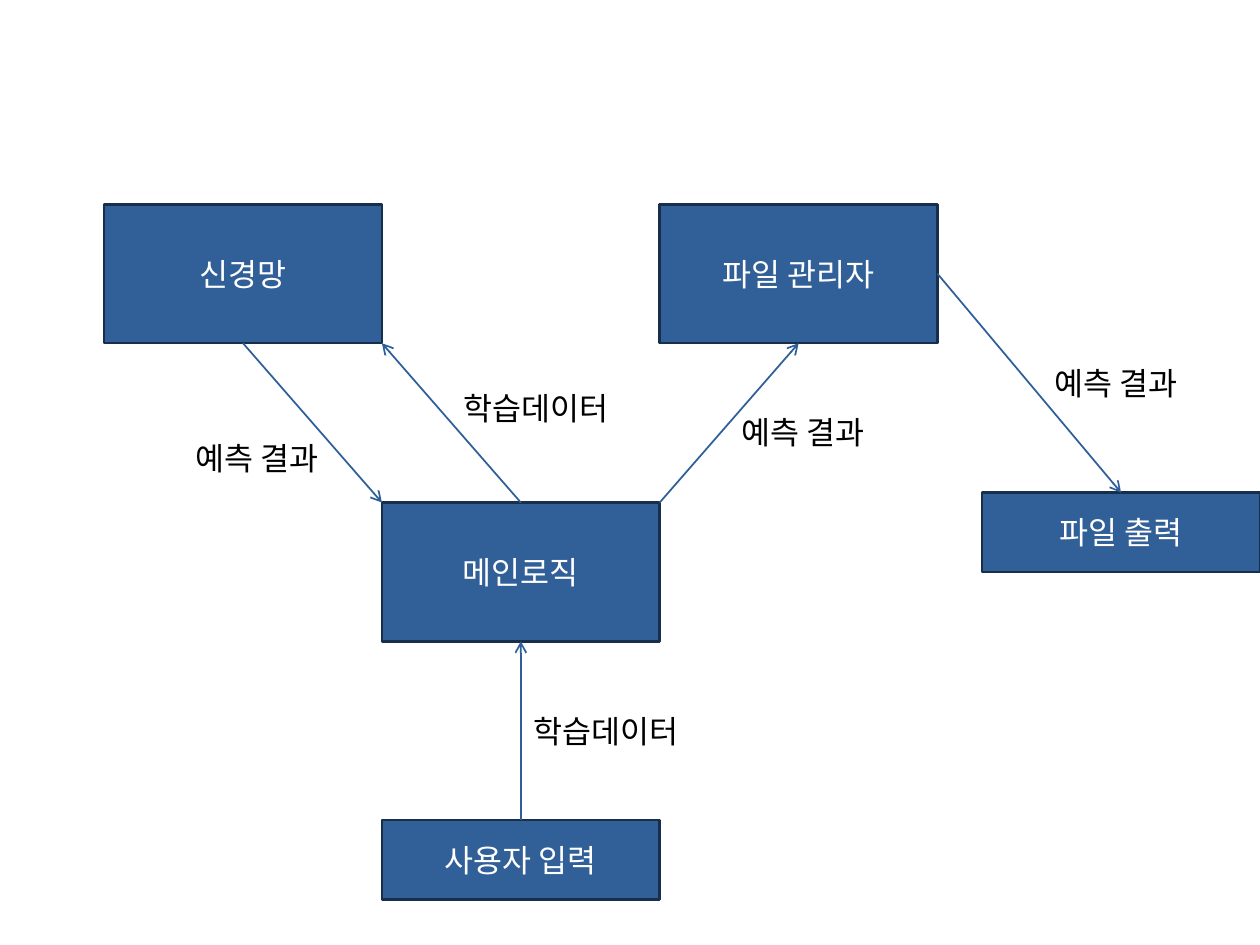
import pptx
import pptx.dml.color
import pptx.enum.shapes
import pptx.enum.text
import pptx.oxml
import pptx.oxml.ns
import pptx.util
from pptx.util import Cm

FONT = "Noto Sans CJK KR"
COLORS = {"box": "315F97", "border": "182F4B", "arrow": "2E5F9A",
          "box_text": "FFFFFF", "label": "000000"}

BOX_WIDTH, TALL, SHORT = 5.6, 2.8, 1.6
FIRST_LEFT = 2.1
BOXES = {
    "network": ("신경망", FIRST_LEFT, 4.12, TALL),
    "file_manager": ("파일 관리자", FIRST_LEFT + 2 * BOX_WIDTH, 4.12, TALL),
    "main": ("메인로직", FIRST_LEFT + BOX_WIDTH, 10.13, TALL),
    "input": ("사용자 입력", FIRST_LEFT + BOX_WIDTH, 16.53, SHORT),
    "output": ("파일 출력", 25.4 - BOX_WIDTH, 9.93, SHORT),
}
ANCHORS = {
    "top": (0.5, 0, 0), "bottom": (0.5, 1, 2), "right": (1, 0.5, 3),
    "top_left": (0, 0, None), "top_right": (1, 0, None),
    "bottom_right": (1, 1, None),
}
ARROWS = [
    ("input", "top", "main", "bottom"),
    ("main", "top", "network", "bottom_right"),
    ("network", "bottom", "main", "top_left"),
    ("main", "top_right", "file_manager", "bottom"),
    ("file_manager", "right", "output", "top"),
]
LABELS = [
    ("학습데이터", 10.5, 14.22, 3.6),
    ("학습데이터", 9.1, 7.72, 3.6),
    ("예측 결과", 3.7, 8.73, 3.18),
    ("예측 결과", 14.7, 8.2, 3.18),
    ("예측 결과", 21.01, 7.22, 3.18),
]


def color(name):
    return pptx.dml.color.RGBColor.from_string(COLORS[name])


def add_text(shape, text, color_name):
    run = shape.text_frame.paragraphs[0].add_run()
    run.text = text
    run.font.size = pptx.util.Pt(18)
    run.font.name = FONT
    run.font.color.rgb = color(color_name)
    east_asian = pptx.oxml.parse_xml(
        f'<a:ea {pptx.oxml.ns.nsdecls("a")} typeface="{FONT}"/>')
    run.font._element.append(east_asian)


def add_box(slide, text, left, top, height):
    shape = slide.shapes.add_shape(
        pptx.enum.shapes.MSO_SHAPE.RECTANGLE,
        Cm(left), Cm(top), Cm(BOX_WIDTH), Cm(height))
    shape.shadow.inherit = False
    shape.fill.solid()
    shape.fill.fore_color.rgb = color("box")
    shape.line.color.rgb = color("border")
    shape.line.width = pptx.util.Pt(1.5)
    shape.text_frame.vertical_anchor = pptx.enum.text.MSO_ANCHOR.MIDDLE
    shape.text_frame.paragraphs[0].alignment = pptx.enum.text.PP_ALIGN.CENTER
    add_text(shape, text, "box_text")
    return shape


def anchor_point(shape, anchor):
    across, down, _ = ANCHORS[anchor]
    return (int(shape.left + across * shape.width),
            int(shape.top + down * shape.height))


def add_arrow(slide, start, start_anchor, end, end_anchor):
    connector = slide.shapes.add_connector(
        pptx.enum.shapes.MSO_CONNECTOR.STRAIGHT,
        *anchor_point(start, start_anchor), *anchor_point(end, end_anchor))
    for connect, shape, anchor in ((connector.begin_connect, start, start_anchor),
                                   (connector.end_connect, end, end_anchor)):
        site = ANCHORS[anchor][2]
        if site is not None:
            connect(shape, site)
    connector.line.color.rgb = color("arrow")
    connector.line.width = pptx.util.Pt(1)
    namespace = pptx.oxml.ns.nsdecls("a")
    connector.line._get_or_add_ln().append(
        pptx.oxml.parse_xml(f'<a:tailEnd {namespace} type="arrow"/>'))
    connector._element.spPr.append(
        pptx.oxml.parse_xml(f"<a:effectLst {namespace}/>"))


def add_label(slide, text, left, top, width):
    label = slide.shapes.add_textbox(Cm(left), Cm(top), Cm(width), Cm(1.02))
    label.text_frame.word_wrap = False
    label.text_frame.auto_size = pptx.enum.text.MSO_AUTO_SIZE.SHAPE_TO_FIT_TEXT
    add_text(label, text, "label")


def main():
    presentation = pptx.Presentation()
    presentation.slide_width, presentation.slide_height = Cm(25.4), Cm(19.05)
    slide = presentation.slides.add_slide(presentation.slide_layouts[6])
    boxes = {name: add_box(slide, *box) for name, box in BOXES.items()}
    for start, start_anchor, end, end_anchor in ARROWS:
        add_arrow(slide, boxes[start], start_anchor, boxes[end], end_anchor)
    for label in LABELS:
        add_label(slide, *label)
    presentation.save("out.pptx")


if __name__ == "__main__":
    main()
